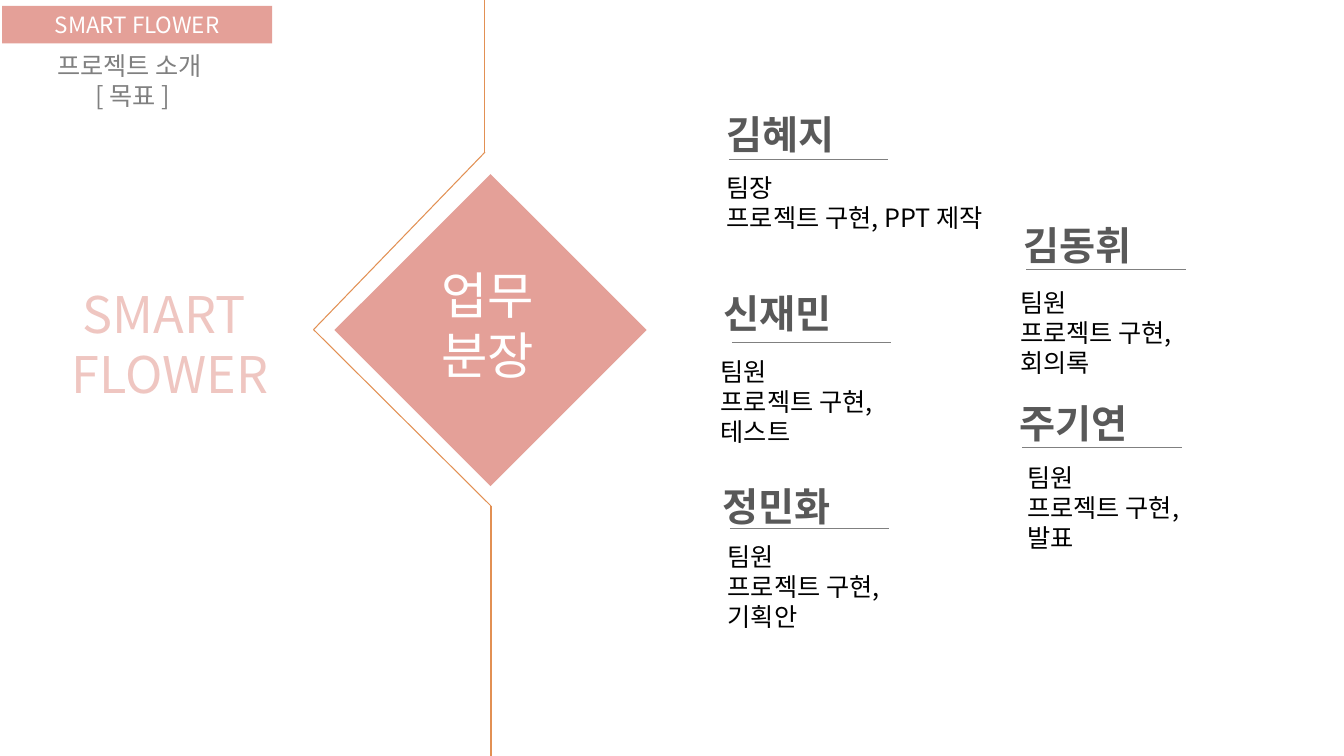
from pptx import Presentation
from pptx.dml.color import RGBColor
from pptx.enum.shapes import MSO_CONNECTOR, MSO_SHAPE
from pptx.enum.text import MSO_ANCHOR, MSO_AUTO_SIZE, PP_ALIGN
from pptx.oxml.ns import qn
from pptx.util import Inches, Pt
from lxml import etree

BANNER = "SMART FLOWER"
SECTION = ["프로젝트 소개 ", "[ 목표 ]"]
BRAND = ["SMART", " FLOWER"]
TITLE = ["업무", "분장"]
MEMBERS = [
    {"name": "김혜지", "duties": ["팀장", "프로젝트 구현, PPT 제작"],
     "name_at": (7.11, 1.05), "duties_at": (7.11, 1.66), "width": 2.8, "rule_at": (7.23, 1.58)},
    {"name": "신재민", "duties": ["팀원", "프로젝트 구현, 테스트"],
     "name_at": (7.08, 2.83), "duties_at": (7.05, 3.49), "width": 2.4, "rule_at": (7.26, 3.4)},
    {"name": "정민화", "duties": ["팀원", "프로젝트 구현, 기획안"],
     "name_at": (7.07, 4.74), "duties_at": (7.12, 5.32), "width": 2.4, "rule_at": (7.24, 5.24)},
    {"name": "김동휘", "duties": ["팀원", "프로젝트 구현, 회의록"],
     "name_at": (10.05, 2.15), "duties_at": (10.02, 2.8), "width": 2.4, "rule_at": (10.18, 2.67)},
    {"name": "주기연", "duties": ["팀원", "프로젝트 구현, 발표"],
     "name_at": (10.01, 3.92), "duties_at": (10.09, 4.54), "width": 2.2, "rule_at": (10.14, 4.44)},
]
TRAIL = [(4.81, 0), (4.81, 1.51), (3.11, 3.27), (4.87, 5.02), (4.87, 7.5)]

COLORS = {"rose": "E4A098", "pale": "EFC6C1", "orange": "E29053", "gray": "808080",
          "dark": "595959", "black": "000000", "white": "FFFFFF"}
FONT = "Noto Sans CJK KR"
LINE_HEIGHT = 1.19
NAME_WIDTH = 1.58
CENTER, LEFT = PP_ALIGN.CENTER, PP_ALIGN.LEFT
TOP, MIDDLE = MSO_ANCHOR.TOP, MSO_ANCHOR.MIDDLE


def color(name):
    return RGBColor.from_string(COLORS[name])


def write(box, lines, size, ink, align=LEFT, bold=False, anchor=TOP):
    frame = box.text_frame
    frame.text = "\n".join(lines)
    frame.word_wrap = True
    frame.auto_size = MSO_AUTO_SIZE.NONE
    frame.vertical_anchor = anchor
    frame.margin_left = frame.margin_right = Inches(0.1)
    frame.margin_top = frame.margin_bottom = Inches(0.05)
    for para in frame.paragraphs:
        para.alignment = align
        para.line_spacing = Pt(round(size * LINE_HEIGHT, 1))
        para.space_before = Pt(0)
        for span in para.runs:
            font = span.font
            font.name, font.size, font.bold = FONT, Pt(size), bold
            font.color.rgb = color(ink)
            east_asian = etree.SubElement(span._r.get_or_add_rPr(), qn("a:ea"))
            east_asian.set("typeface", FONT)


def add_text(page, at, extent, lines, size, ink, **style):
    box = page.shapes.add_textbox(*map(Inches, at + extent))
    write(box, lines, size, ink, **style)


def add_block(page, at, extent):
    block = page.shapes.add_shape(MSO_SHAPE.RECTANGLE, *map(Inches, at + extent))
    block.shadow.inherit = False
    block.fill.solid()
    block.fill.fore_color.rgb = color("rose")
    block.line.fill.background()
    return block


def add_line(page, start, end, ink):
    line = page.shapes.add_connector(MSO_CONNECTOR.STRAIGHT, *map(Inches, start + end))
    line.line.color.rgb = color(ink)
    line.line.width = Pt(0.75)
    etree.SubElement(line._element.spPr, qn("a:effectLst"))


def main():
    deck = Presentation()
    deck.slide_width, deck.slide_height = Inches(13.33), Inches(7.5)
    page = deck.slides.add_slide(deck.slide_layouts[5])

    banner = add_block(page, (0.02, 0.06), (2.68, 0.37))
    write(banner, [BANNER], 16, "white", align=CENTER, anchor=MIDDLE)
    add_text(page, (-0.18, 0.45), (2.99, 0.79), SECTION, 18, "gray", align=CENTER)
    add_text(page, (-0.72, 2.77), (4.7, 1.3), BRAND, 36, "pale", align=CENTER)

    diamond = add_block(page, (3.77, 2.18), (2.19, 2.19))
    diamond.rotation = 45
    for start, end in zip(TRAIL, TRAIL[1:]):
        add_line(page, start, end, "orange")

    title = page.shapes.title
    title.left, title.top, title.width, title.height = map(Inches, (3.34, 2.58, 2.99, 1.3))
    write(title, TITLE, 36, "white", align=CENTER)
    title._element.addprevious(diamond._element)

    for member in MEMBERS:
        add_text(page, member["name_at"], (NAME_WIDTH, 0.57), [member["name"]], 28, "dark", bold=True)
        left, top = member["rule_at"]
        add_line(page, (left, top), (left + NAME_WIDTH, top), "gray")
        add_text(page, member["duties_at"], (member["width"], 1.0), member["duties"], 18, "black")

    deck.save("out.pptx")


if __name__ == "__main__":
    main()
